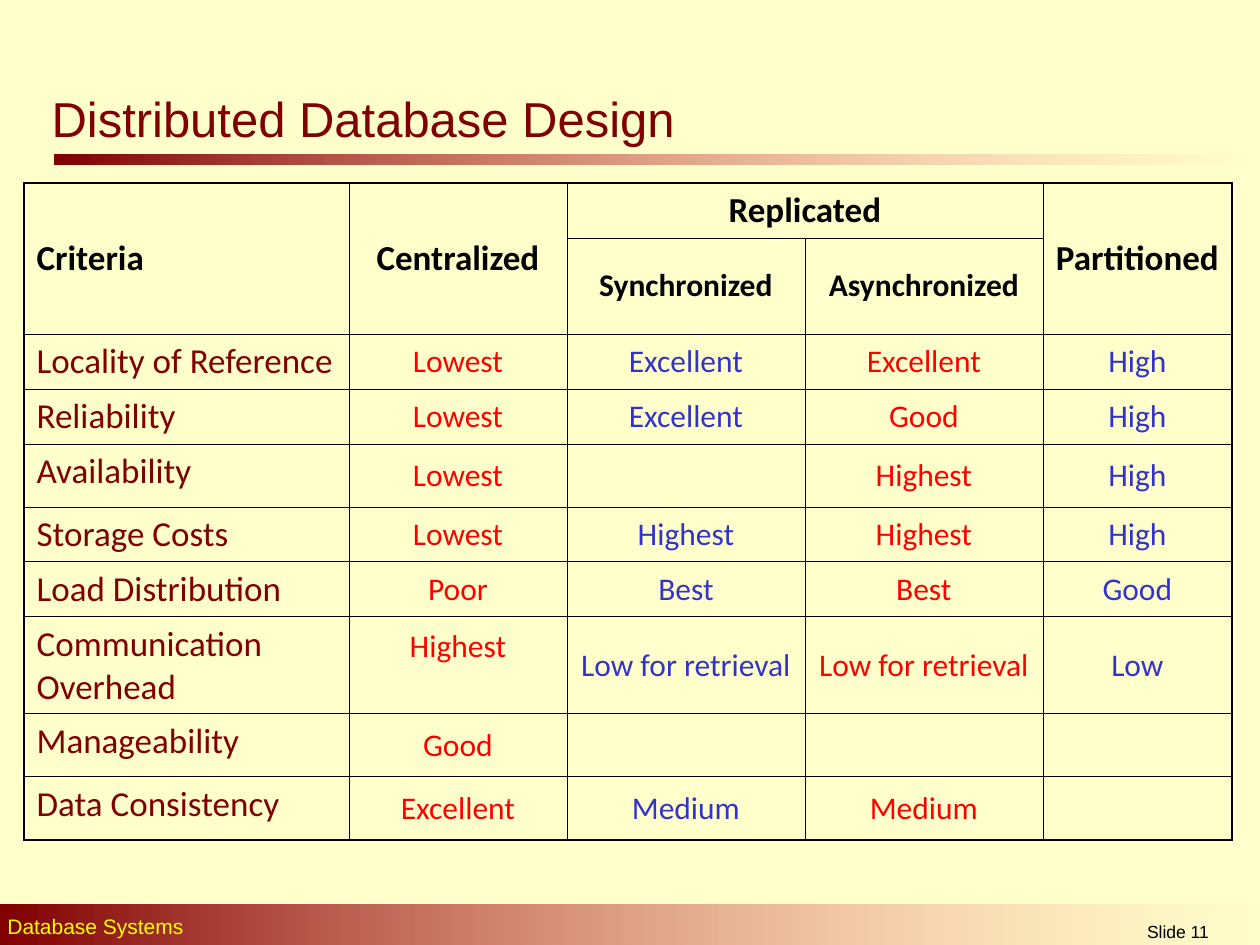
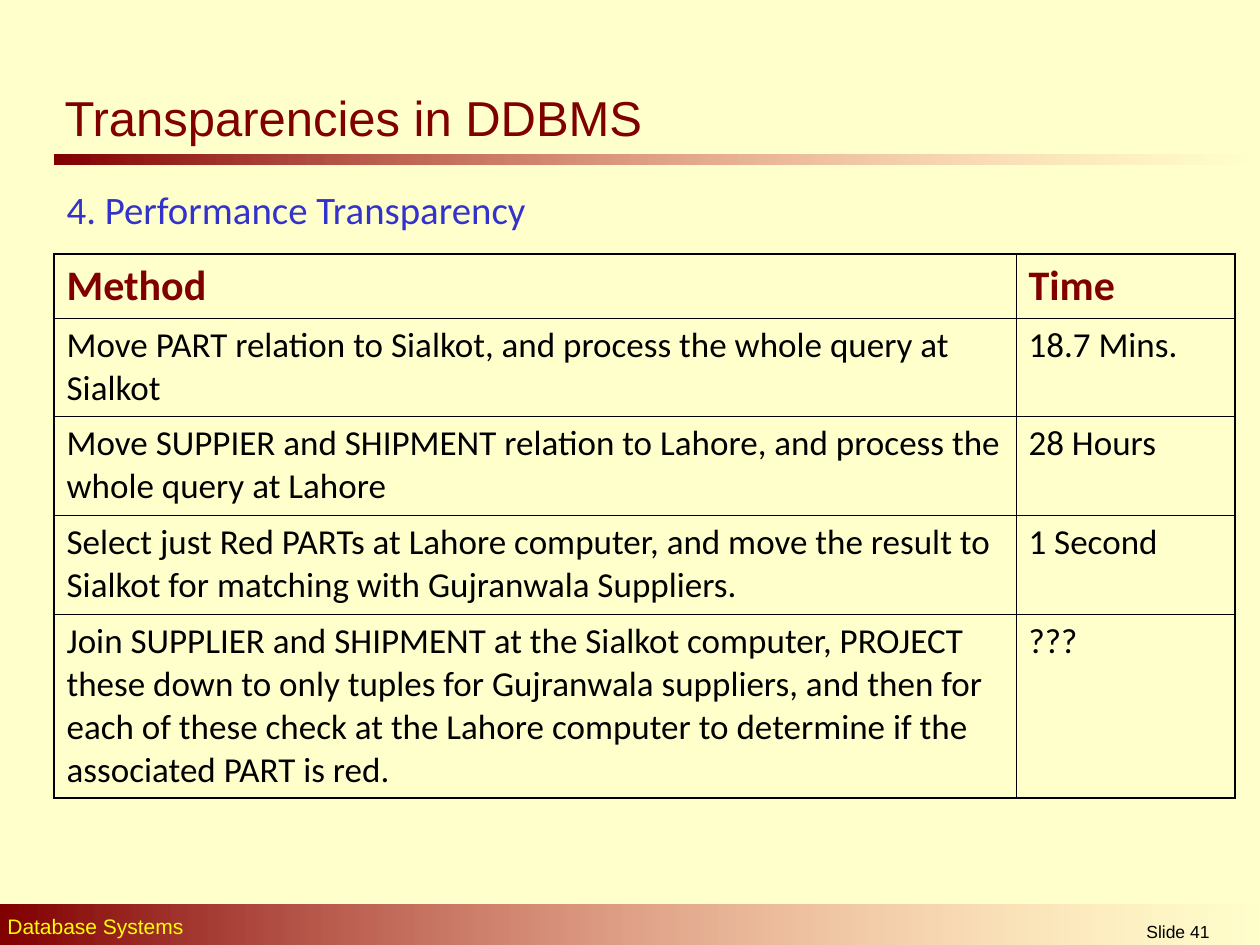
import pptx
import pptx.dml.color
import pptx.enum.shapes
import pptx.enum.text
import pptx.oxml
import pptx.oxml.ns
import pptx.util
from lxml import etree

MSO_ANCHOR = pptx.enum.text.MSO_ANCHOR
PP_ALIGN = pptx.enum.text.PP_ALIGN
MAROON, BLUE, RED, BLACK = "800000", "3333CC", "FF0000", "000000"
CREAM, YELLOW, PINK = "FFFFCC", "FFFF00", "FF8585"
FOOTER = "Database Systems"

DESIGN = {
    "title": "Distributed Database Design",
    "title_box": (39, 78, 735, 79),
    "number": 11,
    "table_at": (24, 183),
    "cols": [325, 218, 238, 238, 189],
    "heights": [55, 96, 55, 55, 63, 55, 55, 97, 63, 63],
    "rows": [
        ("Criteria", "Centralized", "Replicated", "", "Partitioned"),
        ("", "", "Synchronized", "Asynchronized", ""),
        ("Locality of Reference", "Lowest", "Excellent", "Excellent", "High"),
        ("Reliability", "Lowest", "Excellent", "Good", "High"),
        ("Availability", "Lowest", "", "Highest", "High"),
        ("Storage Costs", "Lowest", "Highest", "Highest", "High"),
        ("Load Distribution", "Poor", "Best", "Best", "Good"),
        ("Communication Overhead", "Highest", "Low for retrieval", "Low for retrieval", "Low"),
        ("Manageability", "Good", "", "", ""),
        ("Data Consistency", "Excellent", "Medium", "Medium", ""),
    ],
    "merges": [((0, 0), (1, 0)), ((0, 1), (1, 1)), ((0, 2), (0, 3)), ((0, 4), (1, 4))],
}
TRANSPARENCY = {
    "title": "Transparencies in DDBMS",
    "title_box": (52, 79, 796, 76),
    "number": 41,
    "subtitle": "4. Performance Transparency",
    "subtitle_box": (54, 185, 559, 59),
    "table_at": (54, 254),
    "cols": [962, 219],
    "heights": [64, 98, 99, 99, 184],
    "rows": [
        ("Method", "Time"),
        ("Move PART relation to Sialkot, and process the whole query at Sialkot", "18.7 Mins."),
        ("Move SUPPIER and SHIPMENT relation to Lahore, and process the whole query at Lahore",
         "28 Hours"),
        ("Select just Red PARTs at Lahore computer, and move the result to Sialkot for matching "
         "with Gujranwala Suppliers.", "1 Second"),
        ("Join SUPPLIER and SHIPMENT at the Sialkot computer, PROJECT these down to only tuples "
         "for Gujranwala suppliers, and then for each of these check at the Lahore computer to "
         "determine if the associated PART is red.", "???"),
    ],
    "merges": [],
}


def px(n):
    return round(n * 914400 / 126)


def rgb(color):
    return pptx.dml.color.RGBColor.from_string(color)


def write(tf, text, size, color, font="Calibri", bold=False, align=PP_ALIGN.LEFT):
    tf.text = text
    p = tf.paragraphs[0]
    p.alignment = align
    for r in p.runs:
        r.font.size = pptx.util.Pt(size)
        r.font.name = font
        r.font.bold = bold
        r.font.color.rgb = rgb(color)
    return p


def place(sp, box):
    sp.left, sp.top, sp.width, sp.height = map(px, box)


def add_band(s, box):
    sp = s.shapes.add_shape(pptx.enum.shapes.MSO_SHAPE.RECTANGLE, *map(px, box))
    sp.shadow.inherit = False
    sp.line.fill.background()
    sp.fill.gradient()
    sp.fill.gradient_angle = 0
    start, end = sp.fill.gradient_stops
    start.position, end.position = 0, 1
    start.color.rgb, end.color.rgb = rgb(MAROON), rgb(PINK)
    clr = sp._element.spPr.findall(".//" + pptx.oxml.ns.qn("a:srgbClr"))[-1]
    etree.SubElement(clr, pptx.oxml.ns.qn("a:alpha"), val="0")


def add_label(s, box, text, size, color, align):
    tf = s.shapes.add_textbox(*map(px, box)).text_frame
    tf.word_wrap = True
    write(tf, text, size, color, "Arial", align=align)


def add_slide(prs, layout, data):
    s = prs.slides.add_slide(prs.slide_layouts[layout])
    add_band(s, (54, 155, 1206, 10))
    add_band(s, (0, 905, 1264, 44))
    add_label(s, (-5, 907, 814, 38), FOOTER, 12, YELLOW, PP_ALIGN.LEFT)
    add_label(s, (1047, 915, 262, 30), f"Slide {data['number']}", 10, BLACK, PP_ALIGN.CENTER)
    title = s.shapes.title
    place(title, data["title_box"])
    tf = title.text_frame
    tf.auto_size = pptx.enum.text.MSO_AUTO_SIZE.NONE
    tf.vertical_anchor = MSO_ANCHOR.MIDDLE
    write(tf, data["title"], 28, MAROON, "Arial")
    return s


def set_borders(cell, outer):
    tcPr = cell._tc.get_or_add_tcPr()
    for side in "LRTB":
        width = pptx.util.Pt(1.08 if side in outer else 0.45)
        tcPr.append(pptx.oxml.parse_xml(
            f'<a:ln{side} {pptx.oxml.ns.nsdecls("a")} w="{width}"><a:solidFill>'
            f'<a:srgbClr val="{BLACK}"/></a:solidFill></a:ln{side}>'))


def add_grid(s, data, style):
    rows, cols, heights = data["rows"], data["cols"], data["heights"]
    box = (*data["table_at"], sum(cols), sum(heights))
    tbl = s.shapes.add_table(len(rows), len(cols), *map(px, box)).table
    tbl.first_row = tbl.horz_banding = False
    for col, width in zip(tbl.columns, cols):
        col.width = px(width)
    for row, height in zip(tbl.rows, heights):
        row.height = px(height)
    for first, last in data["merges"]:
        tbl.cell(*first).merge(tbl.cell(*last))
    for i, row in enumerate(rows):
        for j, text in enumerate(row):
            cell = tbl.cell(i, j)
            edges = {"L": j == 0, "R": j == len(cols) - 1, "T": i == 0, "B": i == len(rows) - 1}
            set_borders(cell, [side for side, on in edges.items() if on])
            cell.fill.background()
            if text:
                size, color, bold, align, anchor = style(i, j)
                cell.vertical_anchor = anchor
                write(cell.text_frame, text, size, color, bold=bold, align=align)
    return tbl


def criteria_style(i, j):
    header = i < 2
    size = 20 if i == 0 or j == 0 else 18
    color = BLACK if header else (MAROON, RED, BLUE, RED, BLUE)[j]
    align = PP_ALIGN.CENTER if j else PP_ALIGN.LEFT
    anchor = MSO_ANCHOR.MIDDLE if header or j else MSO_ANCHOR.TOP
    return size, color, header, align, anchor


def method_style(i, j):
    size, color = (20, BLACK) if i else (24, MAROON)
    return size, color, i == 0, PP_ALIGN.LEFT, MSO_ANCHOR.TOP


def build_design(prs):
    s = add_slide(prs, 5, DESIGN)
    tbl = add_grid(s, DESIGN, criteria_style)
    overhead = tbl.cell(7, 1)
    overhead.vertical_anchor = MSO_ANCHOR.TOP
    overhead.margin_top = px(11)


def build_transparency(prs):
    s = add_slide(prs, 1, TRANSPARENCY)
    body = s.placeholders[1]
    place(body, TRANSPARENCY["subtitle_box"])
    tf = body.text_frame
    tf.auto_size = pptx.enum.text.MSO_AUTO_SIZE.NONE
    p = write(tf, TRANSPARENCY["subtitle"], 22.2, BLUE)
    pPr = p._p.get_or_add_pPr()
    pPr.set("marL", "0")
    pPr.set("indent", "0")
    etree.SubElement(pPr, pptx.oxml.ns.qn("a:buNone"))
    p.line_spacing = 0.9
    p.space_before = pptx.util.Pt(0)
    add_grid(s, TRANSPARENCY, method_style)


def main():
    prs = pptx.Presentation()
    prs.slide_width, prs.slide_height = px(1260), px(945)
    fill = prs.slide_master.background.fill
    fill.solid()
    fill.fore_color.rgb = rgb(CREAM)
    build_design(prs)
    build_transparency(prs)
    prs.save("out.pptx")


if __name__ == "__main__":
    main()
